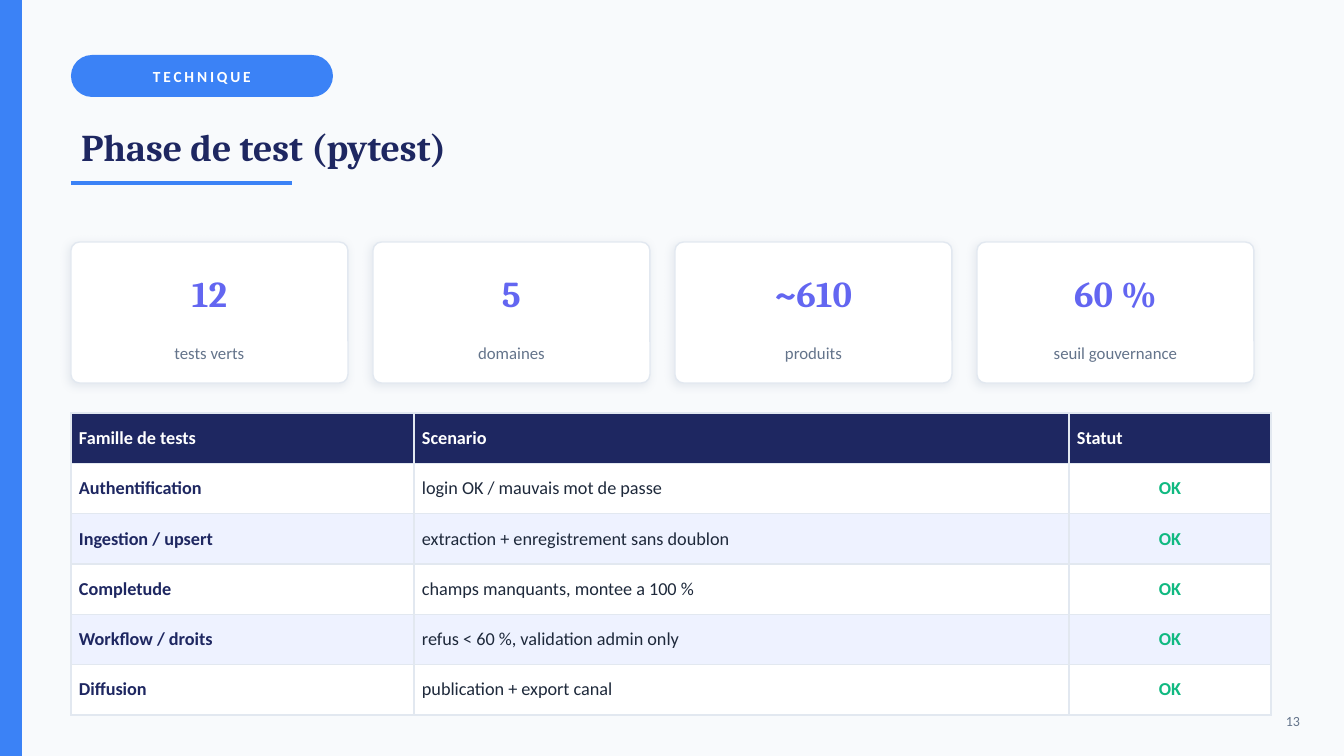
from dataclasses import dataclass

from lxml import etree
from pptx import Presentation
from pptx.dml.color import RGBColor
from pptx.enum.shapes import MSO_CONNECTOR, MSO_SHAPE
from pptx.enum.text import MSO_ANCHOR, MSO_AUTO_SIZE, PP_ALIGN
from pptx.oxml import parse_xml
from pptx.oxml.ns import nsdecls, qn
from pptx.util import Emu, Pt

EMU_PER_PX = 914400 / 100.8

BLUE, NAVY, INDIGO, GREEN = "3B82F6", "1E2761", "6366F1", "10B981"
WHITE, PAGE, BAND, BORDER = "FFFFFF", "F8FAFC", "EEF2FF", "E2E8F0"
INK, MUTED, SHADOW = "1E293B", "64748B", "94A3B8"

LEFT = 71
CARD_TOP, CARD_WIDTH, CARD_HEIGHT, CARD_PITCH = 242, 277, 141, 302
TABLE_TOP, TABLE_HEIGHT, CELL_MARGIN = 413, 302, 8
COLUMN_WIDTHS = (343, 655, 202)


@dataclass(frozen=True)
class Box:
    left: int
    top: int
    width: int
    height: int

    def emu(self) -> tuple:
        return tuple(px(v) for v in (self.left, self.top, self.width, self.height))


@dataclass(frozen=True)
class TextStyle:
    size: int
    color: str
    bold: bool = False
    font: str = "Calibri"
    align: PP_ALIGN = PP_ALIGN.LEFT
    spacing: int = 0


@dataclass(frozen=True)
class Stat:
    value: str
    label: str


TAG = TextStyle(11, WHITE, True, align=PP_ALIGN.CENTER, spacing=2)
TITLE = TextStyle(27, NAVY, True, "Cambria")
STAT_VALUE = TextStyle(26, INDIGO, True, "Cambria", PP_ALIGN.CENTER)
STAT_LABEL = TextStyle(12, MUTED, align=PP_ALIGN.CENTER)
PAGE_NUMBER = TextStyle(10, MUTED, align=PP_ALIGN.RIGHT)
HEADER = TextStyle(13, WHITE, True)
BODY_STYLES = (
    TextStyle(13, NAVY, True),
    TextStyle(13, INK),
    TextStyle(13, GREEN, True, align=PP_ALIGN.CENTER),
)

STATS = (
    Stat("12", "tests verts"),
    Stat("5", "domaines"),
    Stat("~610", "produits"),
    Stat("60 %", "seuil gouvernance"),
)
HEADINGS = ("Famille de tests", "Scenario", "Statut")
TESTS = (
    ("Authentification", "login OK / mauvais mot de passe", "OK"),
    ("Ingestion / upsert", "extraction + enregistrement sans doublon", "OK"),
    ("Completude", "champs manquants, montee a 100 %", "OK"),
    ("Workflow / droits", "refus < 60 %, validation admin only", "OK"),
    ("Diffusion", "publication + export canal", "OK"),
)


def px(value: float) -> Emu:
    return Emu(round(value * EMU_PER_PX))


def rgb(value: str) -> RGBColor:
    return RGBColor.from_string(value)


def write(frame, text: str, style: TextStyle) -> None:
    paragraph = frame.paragraphs[0]
    paragraph.alignment = style.align
    run = paragraph.add_run()
    run.text = text
    run.font.name, run.font.size = style.font, Pt(style.size)
    run.font.bold = style.bold
    run.font.color.rgb = rgb(style.color)
    if style.spacing:
        run._r.get_or_add_rPr().set("spc", str(style.spacing * 100))


def fill_frame(frame, text: str, style: TextStyle) -> None:
    frame.word_wrap = True
    frame.auto_size = MSO_AUTO_SIZE.NONE
    frame.vertical_anchor = MSO_ANCHOR.MIDDLE
    write(frame, text, style)


def add_text(slide, box: Box, text: str, style: TextStyle) -> None:
    fill_frame(slide.shapes.add_textbox(*box.emu()).text_frame, text, style)


def add_panel(slide, kind: MSO_SHAPE, box: Box, color: str):
    panel = slide.shapes.add_shape(kind, *box.emu())
    panel.shadow.inherit = False
    panel.fill.solid()
    panel.fill.fore_color.rgb = rgb(color)
    panel.line.fill.background()
    return panel


def add_card(slide, left: int, stat: Stat) -> None:
    box = Box(left, CARD_TOP, CARD_WIDTH, CARD_HEIGHT)
    card = add_panel(slide, MSO_SHAPE.ROUNDED_RECTANGLE, box, WHITE)
    card.adjustments[0] = 0.06
    card.line.color.rgb = rgb(BORDER)
    card.line.width = Pt(1)
    card._element.spPr.find(qn("a:effectLst")).append(parse_xml(
        f'<a:outerShdw {nsdecls("a")} blurRad="{Pt(6)}" dist="{Pt(2)}" '
        f'dir="{135 * 60000}" algn="bl" rotWithShape="0">'
        f'<a:srgbClr val="{SHADOW}"><a:alpha val="18000"/></a:srgbClr></a:outerShdw>'))
    add_text(slide, Box(left, CARD_TOP + 15, CARD_WIDTH, 71), stat.value, STAT_VALUE)
    add_text(slide, Box(left + 10, CARD_TOP + 86, CARD_WIDTH - 20, 50),
             stat.label, STAT_LABEL)


def format_cell(cell, text: str, style: TextStyle, color: str) -> None:
    cell.fill.solid()
    cell.fill.fore_color.rgb = rgb(color)
    cell.vertical_anchor = MSO_ANCHOR.MIDDLE
    cell.margin_left = cell.margin_right = px(CELL_MARGIN)
    cell.margin_top = cell.margin_bottom = px(CELL_MARGIN)
    write(cell.text_frame, text, style)
    properties = cell._tc.get_or_add_tcPr()
    for index, side in enumerate(("lnL", "lnR", "lnT", "lnB")):
        properties.insert(index, parse_xml(
            f'<a:{side} {nsdecls("a")} w="{Pt(1)}"><a:solidFill>'
            f'<a:srgbClr val="{BORDER}"/></a:solidFill></a:{side}>'))


def add_test_table(slide) -> None:
    box = Box(LEFT, TABLE_TOP, sum(COLUMN_WIDTHS), TABLE_HEIGHT)
    row_count = len(TESTS) + 1
    table = slide.shapes.add_table(row_count, len(HEADINGS), *box.emu()).table
    table.first_row = table.horz_banding = False
    for column, width in zip(table.columns, COLUMN_WIDTHS):
        column.width = px(width)
    for r, texts in enumerate((HEADINGS, *TESTS)):
        table.rows[r].height = px(TABLE_HEIGHT / row_count)
        color = NAVY if r == 0 else (BAND, WHITE)[r % 2]
        for c, text in enumerate(texts):
            style = HEADER if r == 0 else BODY_STYLES[c]
            format_cell(table.cell(r, c), text, style, color)


def build() -> None:
    deck = Presentation()
    deck.slide_width, deck.slide_height = px(1344), px(756)
    slide = deck.slides.add_slide(deck.slide_layouts[5])
    slide.background.fill.solid()
    slide.background.fill.fore_color.rgb = rgb(PAGE)

    # Side bar and section tag
    add_panel(slide, MSO_SHAPE.RECTANGLE, Box(0, 0, 22, 756), BLUE)
    tag = add_panel(slide, MSO_SHAPE.ROUNDED_RECTANGLE, Box(LEFT, 55, 262, 42), BLUE)
    tag.adjustments[0] = 0.5
    fill_frame(tag.text_frame, "TECHNIQUE", TAG)

    # Title and its underline
    title = slide.shapes.title
    title.left, title.top, title.width, title.height = Box(LEFT, 106, 1200, 81).emu()
    fill_frame(title.text_frame, "Phase de test (pytest)", TITLE)
    rule = slide.shapes.add_connector(
        MSO_CONNECTOR.STRAIGHT, px(LEFT), px(183), px(292), px(183))
    rule.line.color.rgb = rgb(BLUE)
    rule.line.width = Pt(2.5)
    etree.SubElement(rule._element.spPr, qn("a:effectLst"))

    # Key figures
    for index, stat in enumerate(STATS):
        add_card(slide, LEFT + index * CARD_PITCH, stat)

    # Test results and page number
    add_test_table(slide)
    add_text(slide, Box(1250, 706, 60, 30), "13", PAGE_NUMBER)

    deck.save("out.pptx")


build()
